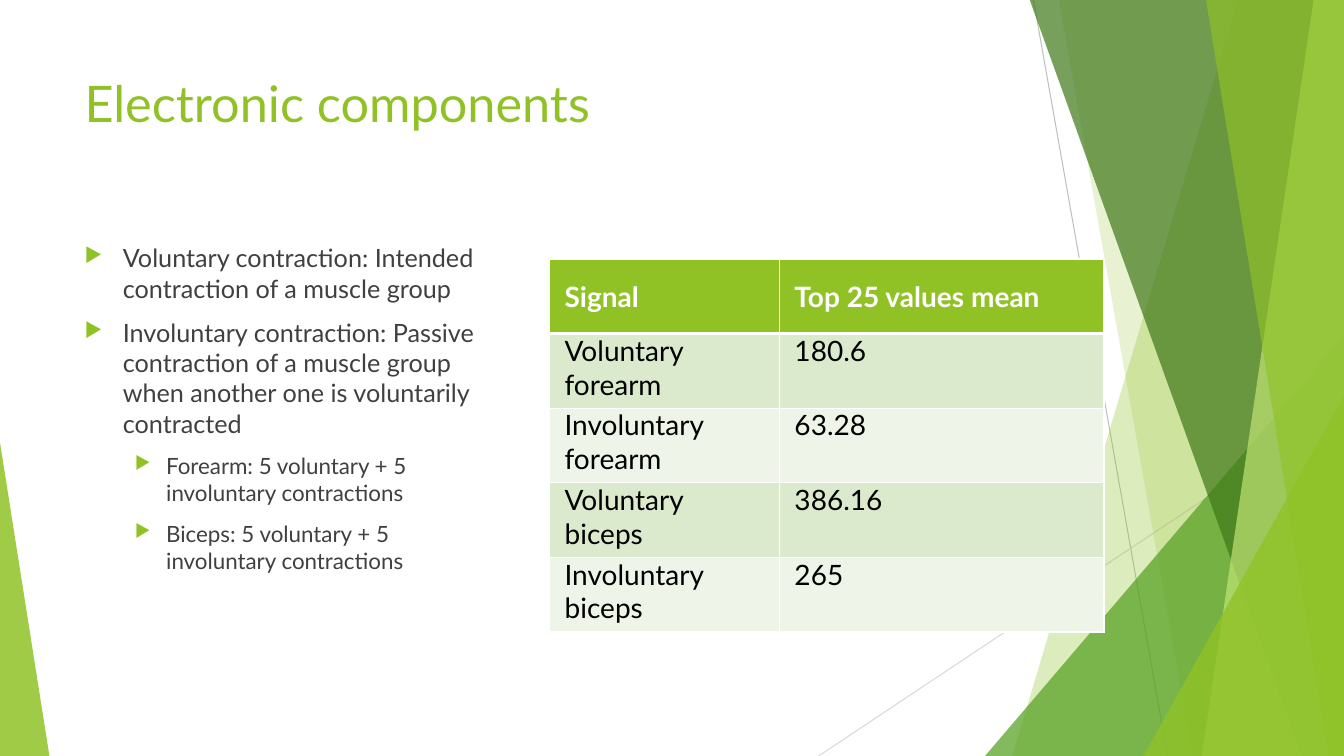
from lxml import etree
from pptx import Presentation
from pptx import util as u
from pptx.dml.color import RGBColor
from pptx.enum import shapes, text
from pptx.oxml.ns import qn

GREEN, DARK, WHITE, BLACK = "90C226", "404040", "FFFFFF", "000000"


def rgb(value):
    return RGBColor.from_string(value)


def add_xml(parent, tag, **attrs):
    return etree.SubElement(parent, qn(tag), attrs)


class Deck:
    font = "Lato"

    def __init__(self, width, height):
        self.prs = Presentation()
        self.prs.slide_width = u.Inches(width)
        self.prs.slide_height = u.Inches(height)
        self.s = self.prs.slides.add_slide(self.prs.slide_layouts[6])

    def style(self, p, size, color, bold=False):
        p.font.name, p.font.size, p.font.bold = self.font, u.Pt(size), bold
        p.font.color.rgb = rgb(color)

    def paint(self, sp, color, opacity):
        sp.shadow.inherit = False
        sp.line.fill.background()
        sp.fill.solid()
        sp.fill.fore_color.rgb = rgb(color)
        clr = sp.fill._xPr.find(qn("a:solidFill"))[0]
        add_xml(clr, "a:alpha", val=str(opacity * 1000))

    def line(self, x1, y1, x2, y2, color):
        sp = self.s.shapes.add_connector(
            shapes.MSO_CONNECTOR.STRAIGHT, *map(u.Inches, (x1, y1, x2, y2)))
        sp.line.color.rgb = rgb(color)
        sp.line.width = u.Pt(0.75)
        add_xml(sp._element.spPr, "a:effectLst")

    def polygon(self, points, color, opacity):
        first, *rest = [(u.Inches(x), u.Inches(y)) for x, y in points]
        builder = self.s.shapes.build_freeform(*first)
        builder.add_line_segments(rest, close=True)
        self.paint(builder.convert_to_shape(), color, opacity)

    def triangle(self, box, apex, color, opacity):
        sp = self.s.shapes.add_shape(
            shapes.MSO_SHAPE.ISOSCELES_TRIANGLE, *map(u.Inches, box))
        sp.adjustments[0] = apex
        self.paint(sp, color, opacity)

    def textbox(self, box):
        tf = self.s.shapes.add_textbox(*map(u.Inches, box)).text_frame
        tf.word_wrap = True
        return tf

    def title(self, box, words):
        p = self.textbox(box).paragraphs[0]
        p.text = words
        self.style(p, 36, GREEN)

    def bullets(self, box, items):
        tf = self.textbox(box)
        for i, (level, words) in enumerate(items):
            p = tf.add_paragraph() if i else tf.paragraphs[0]
            p.text, p.level, p.space_before = words, level, u.Pt(10)
            size, left, hang = ((18, 0.38, 0.38), (16, 0.81, 0.31))[level]
            pPr = p._p.get_or_add_pPr()
            pPr.set("marL", str(u.Inches(left)))
            pPr.set("indent", str(-u.Inches(hang)))
            add_xml(add_xml(pPr, "a:buClr"), "a:srgbClr", val=GREEN)
            add_xml(pPr, "a:buSzPct", val="80000")
            add_xml(pPr, "a:buChar", char="▶")
            self.style(p, size, DARK)

    def cell(self, cell, words, fill, header):
        cell.margin_left = cell.margin_right = u.Inches(0.15)
        cell.margin_top = cell.margin_bottom = 0
        if header:
            cell.vertical_anchor = text.MSO_ANCHOR.MIDDLE
        p = cell.text_frame.paragraphs[0]
        p.text, p.space_after = words, u.Pt(6)
        p.alignment = text.PP_ALIGN.JUSTIFY
        self.style(p, 20, WHITE if header else BLACK, header)
        # Borders come before the fill in the cell properties
        tcPr = cell._tc.get_or_add_tcPr()
        for side in "LRTB":
            width = 3 if header and side == "B" else 1
            ln = add_xml(tcPr, f"a:ln{side}", w=str(u.Pt(width)))
            add_xml(add_xml(ln, "a:solidFill"), "a:srgbClr", val=WHITE)
        cell.fill.solid()
        cell.fill.fore_color.rgb = rgb(fill)

    def table(self, left, top, widths, row_height, rows):
        table = self.s.shapes.add_table(
            len(rows), len(widths), u.Inches(left), u.Inches(top),
            u.Inches(sum(widths)), u.Inches(row_height * len(rows))).table
        for column, width in zip(table.columns, widths):
            column.width = u.Inches(width)
        for r, row in enumerate(rows):
            fill = ("EEF4E8", "DBE9CD")[r % 2] if r else GREEN
            for c, words in enumerate(row):
                self.cell(table.cell(r, c), words, fill, r == 0)


def band(top_left, bottom_left):
    """Outline from a slanted left edge to the right side of the slide."""
    return [(top_left, -0.01), (13.33, -0.01), (13.33, 7.5), (bottom_left, 7.5)]


def main():
    deck = Deck(13.33, 7.5)

    # Background facets
    deck.line(10.25, 0, 11.58, 7.5, "BFBFBF")
    deck.line(13.33, 4.03, 8.12, 7.5, "D9D9D9")
    deck.polygon(band(12.28, 10.04), GREEN, 30)
    deck.polygon(band(10.5, 11.83), GREEN, 20)
    deck.triangle((9.77, 3.33, 3.56, 4.17), 1, "54A021", 72)
    deck.polygon(band(10.21, 12.91), "3F7819", 70)
    deck.polygon(band(13.03, 11.92), "C0E474", 70)
    deck.polygon(band(11.96, 13.18), GREEN, 65)
    deck.triangle((11.34, 3.93, 1.99, 3.57), 1, GREEN, 80)
    deck.triangle((0, 4.39, 0.49, 3.11), 0, GREEN, 85)

    # Title and bullets
    deck.title((0.74, 0.67, 9.4, 1.44), "Electronic components")
    deck.bullets((0.74, 2.36, 4.33, 4.1), [
        (0, "Voluntary contraction: Intended contraction of a muscle group"),
        (0, "Involuntary contraction: Passive contraction of a muscle group "
            "when another one is voluntarily contracted"),
        (1, "Forearm: 5 voluntary + 5 involuntary contractions"),
        (1, "Biceps: 5 voluntary + 5 involuntary contractions"),
    ])

    # Signal table
    deck.table(5.45, 2.57, (2.28, 3.22), 0.74, [
        ("Signal", "Top 25 values mean"),
        ("Voluntary forearm", "180.6"),
        ("Involuntary forearm", "63.28"),
        ("Voluntary biceps", "386.16"),
        ("Involuntary biceps", "265"),
    ])

    deck.prs.save("out.pptx")


if __name__ == "__main__":
    main()
